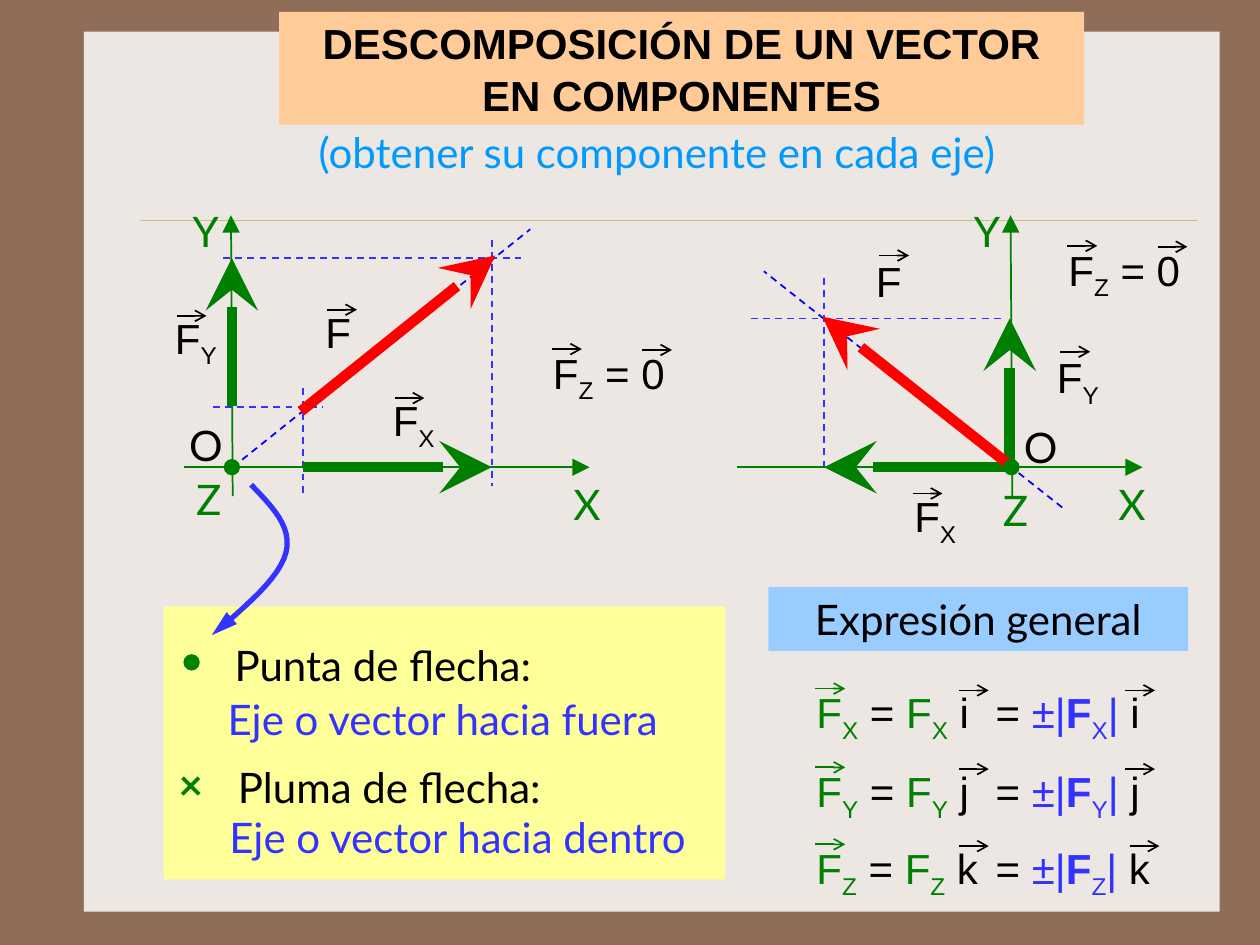
import pptx
import pptx.util
import pptx.dml.color
import pptx.enum.dml
import pptx.enum.shapes
import pptx.enum.text
import pptx.oxml
import pptx.oxml.ns
import lxml.etree

Pt = pptx.util.Pt
SHAPE = pptx.enum.shapes.MSO_SHAPE
ALIGN = pptx.enum.text.PP_ALIGN
FIT = pptx.enum.text.MSO_AUTO_SIZE

HUES = {
    "frame": "906D58", "panel": "EDE7E3", "rule": "CBBD83", "title": "FFCC99",
    "note": "FFFF99", "head": "99CCFF", "black": "000000", "green": "008000",
    "blue": "3333FF", "guide": "0000FF", "red": "FF0000", "sky": "0099FF",
}
LEFT, RIGHT, BASE = 132.5, 578, 267
DOT = 8.6


def rgb(name):
    return pptx.dml.color.RGBColor.from_string(HUES[name])


def add_tip(shape, kind, wide="med", long="med"):
    """Put an arrowhead at the end of a line."""
    tip = lxml.etree.SubElement(shape.line._get_or_add_ln(),
                                pptx.oxml.ns.qn("a:tailEnd"))
    for key, value in (("type", kind), ("w", wide), ("len", long)):
        tip.set(key, value)


def add_line(slide, start, end, hue, width=1, dash=False, tip=None, size="med"):
    line = slide.shapes.add_connector(
        pptx.enum.shapes.MSO_CONNECTOR.STRAIGHT, *map(Pt, (*start, *end)))
    line.line.color.rgb = rgb(hue)
    line.line.width = Pt(width)
    if dash:
        line.line.dash_style = pptx.enum.dml.MSO_LINE.DASH
    if tip:
        add_tip(line, tip, size, size)
    lxml.etree.SubElement(line._element.spPr, pptx.oxml.ns.qn("a:effectLst"))


def add_block(slide, box, hue, kind=SHAPE.RECTANGLE):
    block = slide.shapes.add_shape(kind, *map(Pt, box))
    block.shadow.inherit = False
    block.fill.solid()
    block.fill.fore_color.rgb = rgb(hue)
    block.line.fill.background()
    return block


def add_dot(slide, x, y):
    dot = add_block(slide, (x - DOT / 2, y - DOT / 2, DOT, DOT), "green", SHAPE.OVAL)
    dot.line.color.rgb = rgb("green")
    dot.line.width = Pt(0.75)


def style(font, hue, face, bold=False):
    font.name, font.size, font.bold = face, Pt(24), bold
    font.color.rgb = rgb(hue)


def add_text(slide, box, text, hue="black", bold=False, align=ALIGN.LEFT):
    frame = slide.shapes.add_textbox(*map(Pt, box)).text_frame
    frame.word_wrap = False
    frame.auto_size = FIT.SHAPE_TO_FIT_TEXT
    frame.text = text
    para = frame.paragraphs[0]
    para.alignment = align
    style(para.runs[0].font, hue, "Lato", bold)


def add_label(slide, x, y, width, parts, marks):
    """Symbols as (text, hue, style) with vector arrows at (dx, dy, hue)."""
    frame = slide.shapes.add_textbox(Pt(x), Pt(y), Pt(width), Pt(36)).text_frame
    frame.word_wrap = True
    frame.margin_left = frame.margin_right = Pt(6.5)
    for text, hue, look in parts:
        run = frame.paragraphs[0].add_run()
        run.text = text
        style(run.font, hue, "Arial", look == "bold")
        if look == "sub":
            run._r.get_or_add_rPr().set("baseline", "-25000")
    for dx, dy, hue in marks:
        add_line(slide, (x + dx, y + dy), (x + dx + 17, y + dy), hue, tip="arrow")


def add_force(slide, x, y, axis="", mark=(7.5, 5.5)):
    parts = [("F", "black", "")]
    marks = [(*mark, "black")]
    if axis:
        parts.append((axis, "black", "sub"))
    if axis == "Z":
        parts.append((" = 0", "black", ""))
        marks.append((57.5, 5, "black"))
    width = {"": 32, "Z": 84}.get(axis, 44)
    add_label(slide, x, y, width, parts, marks)


def add_axes(slide, x, start, end, names):
    add_line(slide, (x + 0.5, 283.5), (x - 0.5, 123), "green", tip="triangle", size="lg")
    add_line(slide, (start, BASE), (end, BASE), "green", tip="triangle", size="lg")
    add_dot(slide, x, BASE)
    for name, left, top in names:
        hue = "black" if name == "O" else "green"
        add_text(slide, (left, top, 31 if name == "O" else 28, 36), name, hue,
                 align=ALIGN.CENTER if name == "O" else ALIGN.LEFT)


def add_title(slide, panel):
    title = slide.shapes.title
    title.element.addprevious(panel.element)
    title.left, title.top, title.width, title.height = map(Pt, (159.5, 6.75, 460, 64.5))
    title.fill.solid()
    title.fill.fore_color.rgb = rgb("title")
    frame = title.text_frame
    frame.text = "DESCOMPOSICIÓN DE UN VECTOR EN COMPONENTES"
    frame.word_wrap = True
    frame.auto_size = FIT.NONE
    frame.vertical_anchor = pptx.enum.text.MSO_ANCHOR.MIDDLE
    para = frame.paragraphs[0]
    para.alignment = ALIGN.CENTER
    para.line_spacing = 1.02
    style(para.runs[0].font, "black", "Arial", True)


def add_curve(slide, *arcs, steps=12):
    """Draw joined cubic arcs, each given as four points."""
    dots = []
    for a, b, c, d in arcs:
        for step in range(1, steps + 1):
            t = step / steps
            u = 1 - t
            dots.append(tuple(
                Pt(u**3 * p + 3 * u * u * t * q + 3 * u * t * t * r + t**3 * s)
                for p, q, r, s in zip(a, b, c, d)))
    pen = slide.shapes.build_freeform(*map(Pt, arcs[0][0]))
    pen.add_line_segments(dots, close=False)
    curve = pen.convert_to_shape()
    curve.shadow.inherit = False
    curve.fill.background()
    curve.line.color.rgb = rgb("blue")
    curve.line.width = Pt(3)
    add_tip(curve, "triangle", "med", "lg")


def add_plots(slide):
    for start, end in (((133, 267), (303, 131)), ((607, 290), (436.5, 155))):
        add_line(slide, start, end, "guide", dash=True)
    for start, end in (((471, 159), (471, 267)), ((281, 137), (281, 278)),
                       ((173, 222), (173, 284)), ((429, 182), (572.5, 182)),
                       ((127.5, 147.5), (297.5, 147.5)), ((121.5, 232.5), (184.5, 232.5))):
        add_line(slide, start, end, "blue", dash=True)
    for start, end, hue in (((132.5, 232), (132.5, 147.5), "green"),
                            ((173, BASE), (281, BASE), "green"),
                            ((578, BASE), (471, BASE), "green"),
                            ((577, 266), (577, 182), "green"),
                            ((172, 235), (283, 146), "red"),
                            ((581, 269), (470, 181), "red")):
        add_line(slide, start, end, hue, 6, tip="stealth", size="lg")
    add_axes(slide, LEFT, 105, 337, (
        ("X", 320.5, 270), ("Y", 103, 114), ("Z", 105, 267), ("O", 101, 236)))
    add_axes(slide, RIGHT, 421, 653, (
        ("X", 632, 270), ("Y", 549.5, 114), ("Z", 566, 273.5), ("O", 578, 237.5)))
    add_force(slide, 93.5, 175, "Y")
    add_force(slide, 309.5, 195, "Z", (6, 4.5))
    add_force(slide, 516, 277, "X", (5.5, 5))
    add_force(slide, 597.5, 197.5, "Y", (8.5, 3.5))
    add_force(slide, 218, 222, "X")
    add_force(slide, 604, 136, "Z", (6, 4.5))
    add_force(slide, 179.5, 171.5)
    add_force(slide, 494, 142.5, mark=(8.5, 3.5))


def add_notes(slide):
    add_block(slide, (93.5, 346.5, 321, 156), "note")
    add_dot(slide, 109.5, 378.5)
    add_text(slide, (95, 430, 28, 36.5), "×", "green", True)
    add_text(slide, (123, 393, 280, 36.5), "Eje o vector hacia fuera", "blue")
    add_text(slide, (121.5, 362, 194.5, 36), "Punta de flecha:", align=ALIGN.CENTER)
    add_text(slide, (124, 460, 291, 36.5), "Eje o vector hacia dentro", "blue")
    add_text(slide, (123, 431.5, 199, 36), "Pluma de flecha:", align=ALIGN.CENTER)
    add_curve(slide, ((143.5, 277), (155.5, 289.5), (167, 301), (163.5, 315.5)),
              ((163.5, 315.5), (160, 330), (140.5, 346.5), (121, 363)))


def add_rules(slide):
    head = add_block(slide, (439, 335.5, 240, 36.5), "head")
    head.text_frame.text = "Expresión general"
    para = head.text_frame.paragraphs[0]
    para.alignment = ALIGN.CENTER
    style(para.runs[0].font, "black", "Lato")
    for axis, unit, y, dx in (("X", "i", 389, 80.5), ("Y", "j", 434, 80.5),
                              ("Z", "k", 478, 83)):
        force = [("F", "green", ""), (axis, "green", "sub")]
        add_label(slide, 460, y, 120,
                  force + [(" = ", "black", "")] + force + [(" " + unit, "black", "")],
                  [(6, 4.5, "green"), (88, 5.5, "black")])
        add_label(slide, 562.5, y, 114,
                  [("= ", "black", ""), ("±|", "blue", ""), ("F", "blue", "bold"),
                   (axis, "blue", "sub"), ("|", "blue", ""), (" " + unit, "black", "")],
                  [(dx, 5.5, "black")])


def main():
    deck = pptx.Presentation()
    deck.slide_width, deck.slide_height = Pt(720), Pt(540)
    slide = deck.slides.add_slide(deck.slide_layouts[5])
    slide.background.fill.solid()
    slide.background.fill.fore_color.rgb = rgb("frame")
    add_title(slide, add_block(slide, (48, 18, 649, 503), "panel"))
    add_line(slide, (80, 126), (684, 126), "rule", 0.25)
    add_text(slide, (175, 68.5, 425, 36), "(obtener su componente en cada eje)", "sky")
    add_plots(slide)
    add_notes(slide)
    add_rules(slide)
    deck.save("out.pptx")


if __name__ == "__main__":
    main()
